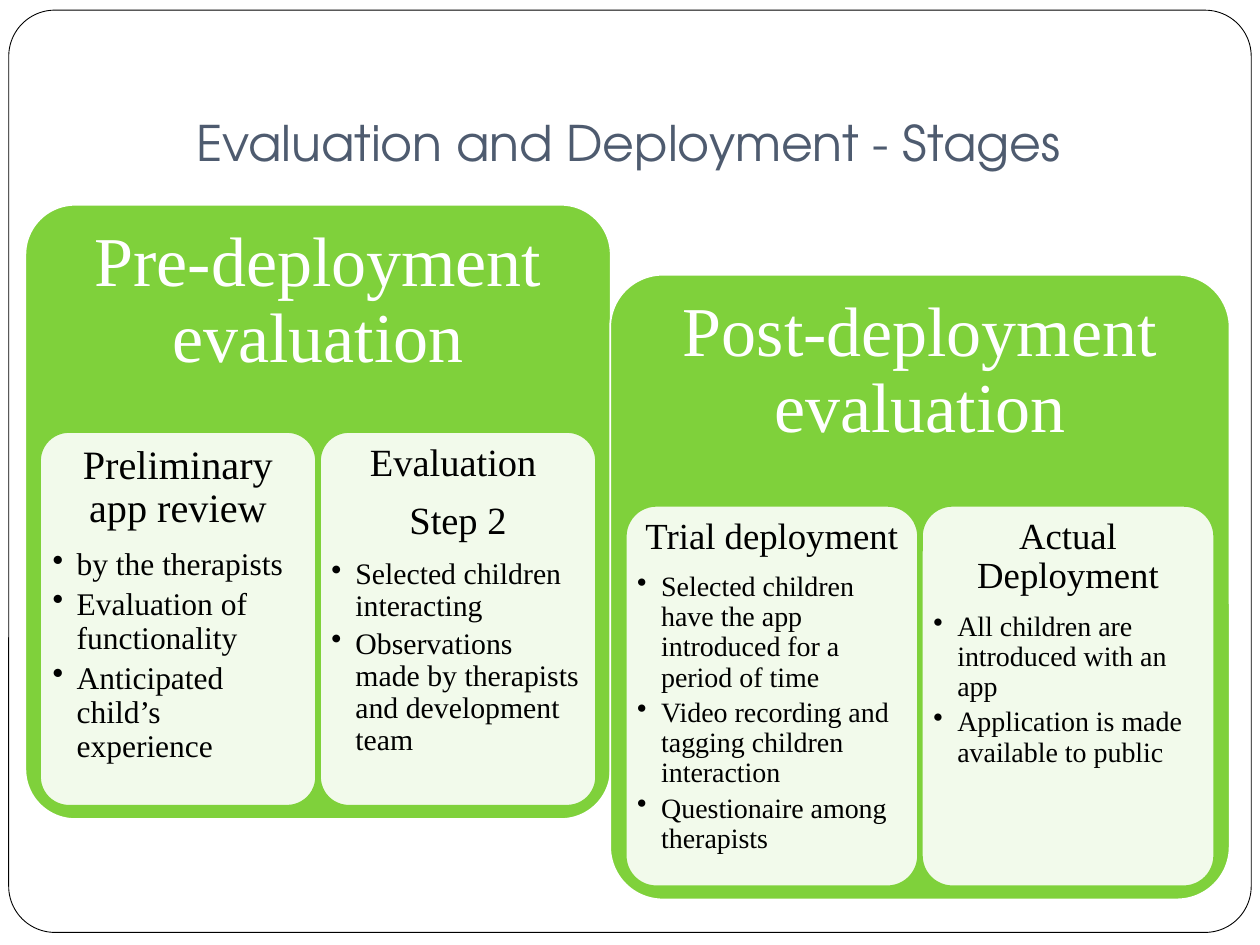
"""Build the evaluation and deployment stages slide."""
from lxml import etree
from pptx import Presentation
from pptx.dml.color import RGBColor
from pptx.enum import shapes, text
from pptx.oxml import ns
from pptx.util import Pt

THEME = {
    "green": "7FD13B", "white": "FFFFFF", "black": "000000", "slate": "4E5B6F",
    "title_font": "TeX Gyre Adventor", "body_font": "Times New Roman",
    "title_size": 28, "heading_size": 40,
}
TITLE = "Evaluation and Deployment - Stages"
FRAME_BOX = (5, 5.8, 710, 527)
TITLE_BOX = (105, 15, 534, 90)
STAGES = [
    {
        "heading": "Pre-deployment evaluation",
        "box": (14.5, 117, 334.5, 351),
        "cards": [
            {"titles": ["Preliminary app review"], "sizes": (23, 18), "inset": 7.2,
             "points": ["by the therapists", "Evaluation of functionality",
                        "Anticipated child’s experience"]},
            {"titles": ["Evaluation ", "Step 2"], "sizes": (22, 17), "inset": 6.5,
             "points": ["Selected children interacting",
                        "Observations made by therapists and development team"]},
        ],
    },
    {
        "heading": "Post-deployment evaluation",
        "box": (348.7, 157, 354, 357),
        "cards": [
            {"titles": ["Trial deployment"], "sizes": (21, 16), "inset": 6.5,
             "points": ["Selected children have the app introduced for a period of time",
                        "Video recording and tagging children interaction",
                        "Questionaire among therapists"]},
            {"titles": ["Actual Deployment"], "sizes": (21, 16), "inset": 6.5,
             "points": ["All children are introduced with an app",
                        "Application is made available to public"]},
        ],
    },
]
PANEL_RADIUS, CARD_RADIUS, FRAME_RADIUS = 0.085, 0.105, 0.05
PANEL_INSET, CARD_GAP, CARD_BOTTOM = 12.2, 2.2, 7.5
CARD_MARGIN_RATIO, CARD_TOP_RATIO = 0.025, 0.37
CORNER_INSET = 0.29
BULLET_INDENT = 13.7


def color(name):
    return RGBColor.from_string(THEME[name])


def add_rounded(container, box, radius, fill, line, line_width):
    shape = container.add_shape(
        shapes.MSO_SHAPE.ROUNDED_RECTANGLE, *(Pt(value) for value in box))
    shape.adjustments[0] = radius
    shape.shadow.inherit = False
    shape.fill.solid()
    shape.fill.fore_color.rgb = color(fill)
    shape.line.color.rgb = color(line)
    shape.line.width = Pt(line_width)
    return shape


def set_margins(text_frame, left, top, right, bottom):
    text_frame.word_wrap = True
    text_frame.margin_left, text_frame.margin_top = Pt(left), Pt(top)
    text_frame.margin_right, text_frame.margin_bottom = Pt(right), Pt(bottom)


def prepare_text(shape, box, radius, inset):
    margin = max(inset - CORNER_INSET * radius * min(box[2:]), 0)
    set_margins(shape.text_frame, *[margin] * 4)
    shape.text_frame.vertical_anchor = text.MSO_ANCHOR.TOP


def style_runs(paragraph, font, size, name):
    for run in paragraph.runs:
        run.font.name, run.font.size = THEME[font], Pt(size)
        run.font.color.rgb = color(name)


def format_heading(paragraph, size, name):
    paragraph.alignment = text.PP_ALIGN.CENTER
    paragraph.line_spacing, paragraph.space_after = 0.9, Pt(size * 0.42)
    style_runs(paragraph, "body_font", size, name)


def format_bullet(paragraph, size):
    paragraph.level = 1
    paragraph.alignment = text.PP_ALIGN.LEFT
    paragraph.line_spacing, paragraph.space_after = 0.9, Pt(size * 0.18)
    properties = paragraph._p.get_or_add_pPr()
    properties.set("marL", str(Pt(BULLET_INDENT)))
    properties.set("indent", str(-Pt(BULLET_INDENT)))
    etree.SubElement(properties, ns.qn("a:buChar"), char="•")
    style_runs(paragraph, "body_font", size, "black")


def add_card(container, card, box):
    shape = add_rounded(container, box, CARD_RADIUS, "white", "green", 1)
    fill_color = shape._element.spPr.find(ns.qn("a:solidFill"))[0]
    etree.SubElement(fill_color, ns.qn("a:alpha"), val="90000")
    prepare_text(shape, box, CARD_RADIUS, card["inset"])
    shape.text_frame.text = "\n".join(card["titles"] + card["points"])
    title_size, point_size = card["sizes"]
    for index, paragraph in enumerate(shape.text_frame.paragraphs):
        if index < len(card["titles"]):
            format_heading(paragraph, title_size, "black")
        else:
            format_bullet(paragraph, point_size)


def add_stage(slide, stage):
    container = slide.shapes.add_group_shape().shapes
    left, top, width, height = stage["box"]
    panel = add_rounded(container, stage["box"], PANEL_RADIUS, "green", "white", 1)
    prepare_text(panel, stage["box"], PANEL_RADIUS, PANEL_INSET)
    panel.text_frame.text = stage["heading"]
    format_heading(panel.text_frame.paragraphs[0], THEME["heading_size"], "white")

    margin, offset = width * CARD_MARGIN_RATIO, height * CARD_TOP_RATIO
    count = len(stage["cards"])
    card_width = (width - 2 * margin - (count - 1) * CARD_GAP) / count
    for index, card in enumerate(stage["cards"]):
        card_left = left + margin + index * (card_width + CARD_GAP)
        add_card(container, card, (card_left, top + offset, card_width,
                                   height - offset - CARD_BOTTOM))


def add_title(slide):
    title = slide.shapes.add_textbox(*(Pt(value) for value in TITLE_BOX))
    set_margins(title.text_frame, 7.2, 3.6, 7.2, 7.2)
    title.text_frame.vertical_anchor = text.MSO_ANCHOR.BOTTOM
    title.text_frame.text = TITLE
    style_runs(title.text_frame.paragraphs[0], "title_font", THEME["title_size"], "slate")


def main():
    presentation = Presentation()
    presentation.slide_width, presentation.slide_height = Pt(720), Pt(540)
    slide = presentation.slides.add_slide(presentation.slide_layouts[6])
    add_rounded(slide.shapes, FRAME_BOX, FRAME_RADIUS, "white", "black", 0.5)
    add_title(slide)
    for stage in STAGES:
        add_stage(slide, stage)
    presentation.save("out.pptx")


if __name__ == "__main__":
    main()
